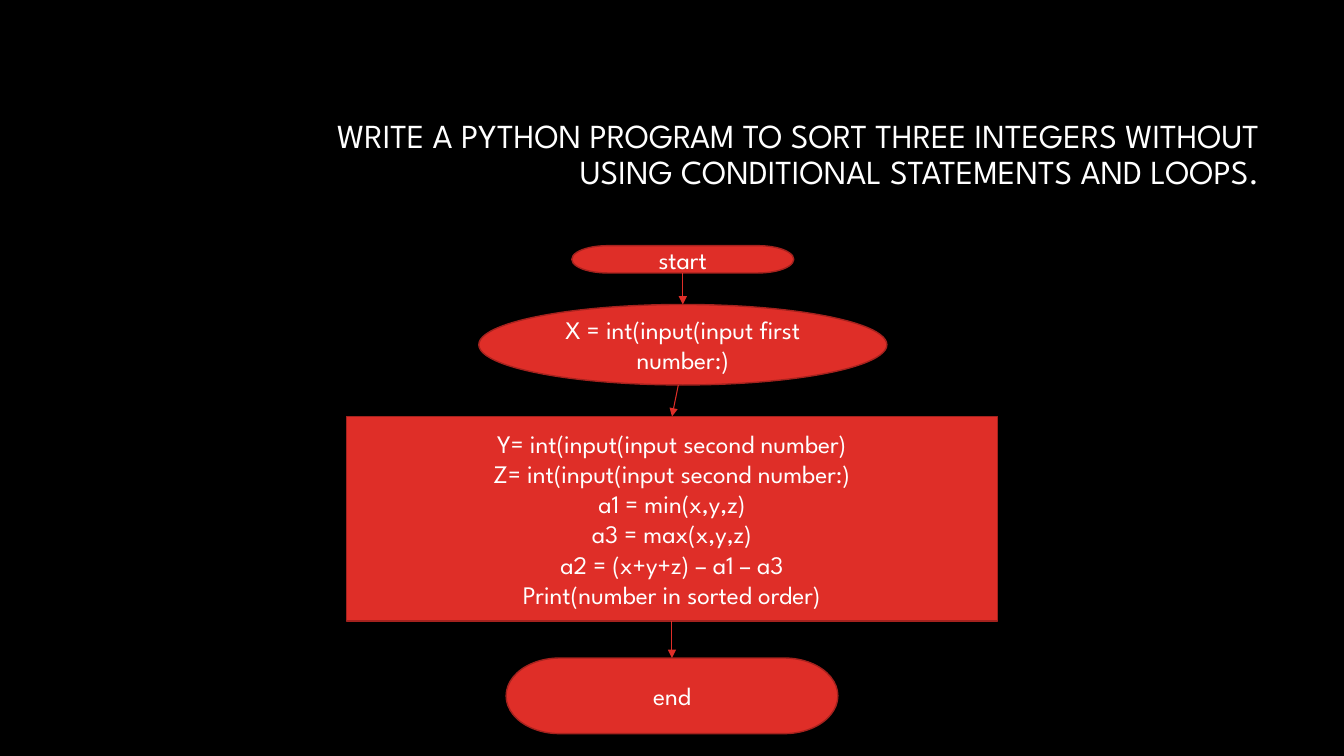
from dataclasses import dataclass

from lxml.etree import SubElement
from pptx import Presentation
from pptx.dml.color import RGBColor
from pptx.enum.shapes import MSO_CONNECTOR as Connector, MSO_SHAPE as Preset
from pptx.enum.text import MSO_ANCHOR as Anchor, PP_ALIGN as Align
from pptx.oxml.ns import qn
from pptx.shapes.autoshape import Shape
from pptx.shapes.connector import Connector as Arrow
from pptx.slide import Slide
from pptx.text.text import TextFrame
from pptx.util import Pt

FONT = "League Spartan"
BLACK, WHITE, RED, DARK_RED = "000000", "FFFFFF", "DF2E28", "A5221E"
TOP, BOTTOM = 0, 2


@dataclass
class Step:
    preset: Preset
    left: float
    top: float
    width: float
    height: float
    lines: list[str]


STEPS = [
    Step(Preset.FLOWCHART_TERMINATOR, 408.5, 175.5, 158.5, 19.5, ["start"]),
    Step(Preset.OVAL, 342, 217.5, 291.5, 57.5, ["X = int(input(input first number:)"]),
    Step(Preset.RECTANGLE, 247.5, 297.5, 465, 146, [
        "Y= int(input(input second number)",
        "Z= int(input(input second number:)",
        "a1 = min(x,y,z)",
        "a3 = max(x,y,z)",
        "a2 = (x+y+z) – a1 – a3",
        "Print(number in sorted order)",
    ]),
    Step(Preset.FLOWCHART_TERMINATOR, 361.5, 470, 237, 54, ["end"]),
]


def color(value: str) -> RGBColor:
    return RGBColor.from_string(value)


def write(frame: TextFrame, lines: list[str], size: float, align: Align,
          spacing: float = 1.0) -> None:
    frame.word_wrap = True
    frame.vertical_anchor = Anchor.MIDDLE
    for index, line in enumerate(lines):
        para = frame.add_paragraph() if index else frame.paragraphs[0]
        para.alignment = align
        para.line_spacing = spacing
        span = para.add_run()
        span.text = line
        span.font.name = FONT
        span.font.size = Pt(size)
        span.font.color.rgb = color(WHITE)


def add_step(page: Slide, step: Step) -> Shape:
    box = page.shapes.add_shape(step.preset, Pt(step.left), Pt(step.top),
                                Pt(step.width), Pt(step.height))
    box.shadow.inherit = False
    box.fill.solid()
    box.fill.fore_color.rgb = color(RED)
    box.line.color.rgb = color(DARK_RED)
    box.line.width = Pt(1)
    write(box.text_frame, step.lines, 18, Align.CENTER)
    return box


def add_arrow(page: Slide, x: float, y: float, target: Shape) -> Arrow:
    """Draw an arrow from a point to the top of the target."""
    arrow = page.shapes.add_connector(Connector.STRAIGHT, Pt(x), Pt(y), Pt(x), Pt(y))
    arrow.end_connect(target, TOP)
    arrow.line.color.rgb = color(RED)
    arrow.line.width = Pt(0.75)
    SubElement(arrow.line._get_or_add_ln(), qn("a:tailEnd"), type="triangle")
    SubElement(arrow._element.spPr, qn("a:effectLst"))
    return arrow


def main() -> None:
    deck = Presentation()
    deck.slide_width, deck.slide_height = Pt(960), Pt(540)
    page = deck.slides.add_slide(deck.slide_layouts[6])
    page.background.fill.solid()
    page.background.fill.fore_color.rgb = color(BLACK)

    title = page.shapes.add_textbox(Pt(228), Pt(60.5), Pt(678.5), Pt(101.5))
    write(title.text_frame, [
        "WRITE A PYTHON PROGRAM TO SORT THREE INTEGERS WITHOUT "
        "USING CONDITIONAL STATEMENTS AND LOOPS.",
    ], 24, Align.RIGHT, 0.9)

    start, first_input, process, end = [add_step(page, step) for step in STEPS]
    for source, target in [(start, first_input), (process, end)]:
        add_arrow(page, 480, 300, target).begin_connect(source, BOTTOM)
    # The oval's arrow leaves slightly left of its middle.
    add_arrow(page, 484.5, 275, process)

    deck.save("out.pptx")


if __name__ == "__main__":
    main()
